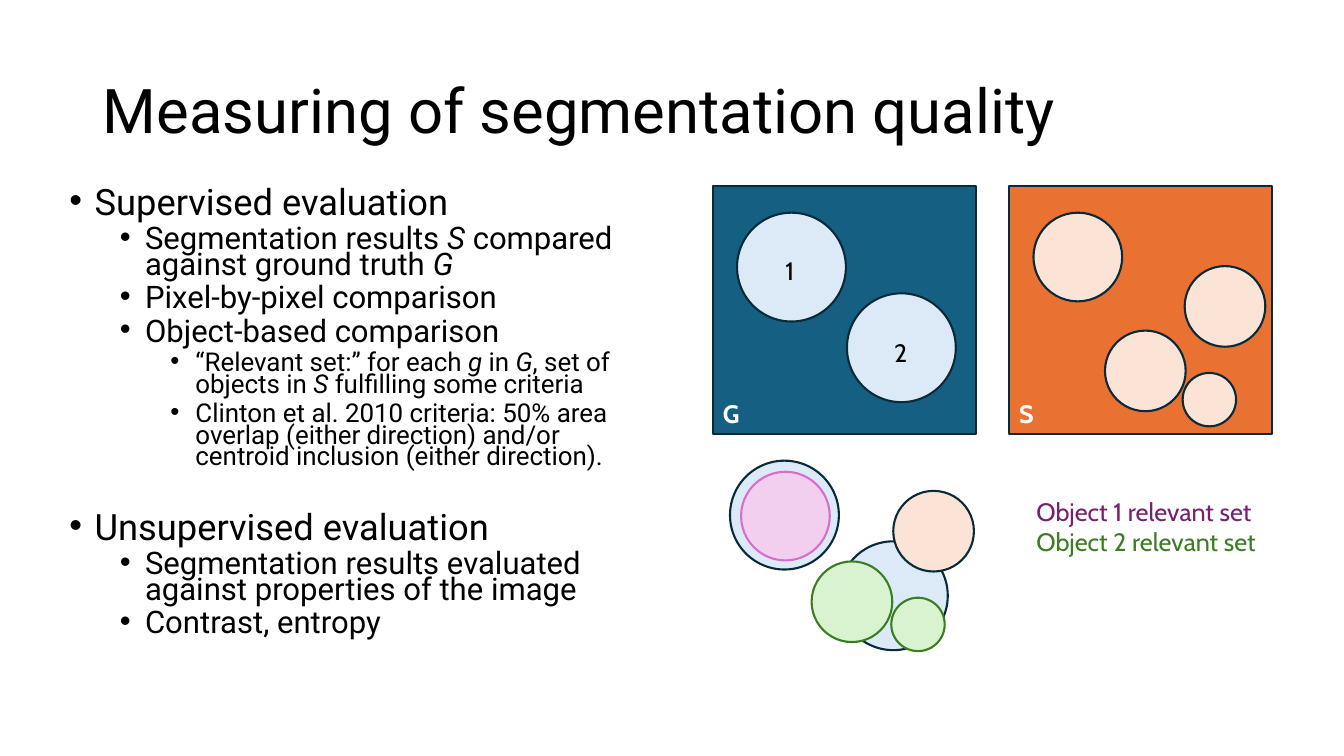
from lxml import etree
from pptx import Presentation
from pptx.dml.color import RGBColor
from pptx.enum import shapes, text
from pptx.oxml import ns
from pptx.util import Inches, Pt

COLOURS = {
    "black": "000000", "white": "FFFFFF", "outline": "092A39",
    "truth": "156082", "truth_object": "DCEAF7",
    "result": "E97132", "result_object": "FBE3D6",
    "pink": "F2CFEE", "pink_line": "D86ECC", "purple": "78206E",
    "green": "D9F2D0", "green_line": "3B7D23",
}
LEVELS = [
    {"size": 25.9, "before": 33, "indent": 0.25},
    {"size": 22.2, "before": 5, "indent": 0.75},
    {"size": 18.5, "before": 5, "indent": 1.25},
]
OUTLINE = [
    (0, "Supervised evaluation"),
    (1, "Segmentation results *S* compared against ground truth *G*"),
    (1, "Pixel-by-pixel comparison"),
    (1, "Object-based comparison"),
    (2, "“Relevant set:” for each *g *in *G*, set of objects in *S *fulfilling some criteria"),
    (2, "Clinton et al. 2010 criteria: 50% area overlap (either direction) "
        "and/or centroid inclusion (either direction)."),
    (0, "Unsupervised evaluation"),
    (1, "Segmentation results evaluated against properties of the image"),
    (1, "Contrast, entropy"),
]
LARGE, MEDIUM, SMALL, TINY = 1.08, 0.88, 0.8, 0.53
CIRCLES = [
    (7.31, 2.11, LARGE, "truth_object", "outline"),
    (8.4, 2.91, LARGE, "truth_object", "outline"),
    (10.25, 2.11, MEDIUM, "result_object", "outline"),
    (11.75, 2.64, SMALL, "result_object", "outline"),
    (10.96, 3.28, SMALL, "result_object", "outline"),
    (11.73, 3.7, TINY, "result_object", "outline"),
    (7.24, 4.57, LARGE, "truth_object", "outline"),
    (8.32, 5.37, LARGE, "truth_object", "outline"),
    (7.35, 4.68, MEDIUM, "pink", "pink_line"),
    (8.86, 4.87, SMALL, "result_object", "outline"),
    (8.05, 5.57, SMALL, "green", "green_line"),
    (8.84, 5.93, TINY, "green", "green_line"),
]


def colour(name):
    return RGBColor.from_string(COLOURS[name])


def apply(target, values):
    for name, value in values.items():
        setattr(target, name, value)


class SlideBuilder:
    heading_font = "Roboto"
    label_font = "Cabin"
    label_size = 18
    line_width = Pt(1.5)

    def __init__(self, presentation):
        self.slide = presentation.slides.add_slide(presentation.slide_layouts[5])

    def run(self, paragraph, wording, font, size, fill, **style):
        run = paragraph.add_run()
        run.text = wording
        apply(run.font, {"name": font, "size": Pt(size), **style})
        run.font.color.rgb = colour(fill)

    def title(self, wording, left, top, width, height):
        title = self.slide.shapes.title
        apply(title, {"left": Inches(left), "top": Inches(top),
                      "width": Inches(width), "height": Inches(height)})
        apply(title.text_frame, {"vertical_anchor": text.MSO_ANCHOR.MIDDLE,
                                 "auto_size": text.MSO_AUTO_SIZE.NONE, "word_wrap": True})
        paragraph = title.text_frame.paragraphs[0]
        apply(paragraph, {"alignment": text.PP_ALIGN.LEFT, "line_spacing": 0.9})
        self.run(paragraph, wording, self.heading_font, 44, "black")

    def text_box(self, left, top, width, height, wrap=True):
        box = self.slide.shapes.add_textbox(
            Inches(left), Inches(top), Inches(width), Inches(height))
        box.text_frame.word_wrap = wrap
        return box.text_frame

    def paragraph(self, frame, index):
        return frame.add_paragraph() if index else frame.paragraphs[0]

    def bullets(self, entries, left, top, width, height):
        frame = self.text_box(left, top, width, height)
        for index, (level, wording) in enumerate(entries):
            style = LEVELS[level]
            paragraph = self.paragraph(frame, index)
            properties = paragraph._p.get_or_add_pPr()
            properties.set("marL", str(Inches(style["indent"])))
            properties.set("indent", str(Inches(-0.25)))
            etree.SubElement(properties, ns.qn("a:buFont")).set("typeface", "Arial")
            etree.SubElement(properties, ns.qn("a:buChar")).set("char", "•")
            apply(paragraph, {"level": level, "line_spacing": 0.7,
                              "space_before": Pt(style["before"] if index else 0)})
            for position, part in enumerate(wording.split("*")):
                if part:
                    self.run(paragraph, part, self.heading_font, style["size"],
                             "black", italic=position % 2 == 1)

    def labels(self, entries, left, top, width, height, wrap=False, **style):
        frame = self.text_box(left, top, width, height, wrap)
        for index, (wording, fill) in enumerate(entries):
            self.run(self.paragraph(frame, index), wording, self.label_font,
                     self.label_size, fill, **style)

    def shape(self, kind, left, top, width, height, fill, line):
        shape = self.slide.shapes.add_shape(
            kind, Inches(left), Inches(top), Inches(width), Inches(height))
        shape.shadow.inherit = False
        shape.fill.solid()
        shape.fill.fore_color.rgb = colour(fill)
        shape.line.color.rgb = colour(line)
        shape.line.width = self.line_width


def main():
    presentation = Presentation()
    apply(presentation, {"slide_width": Inches(13.33), "slide_height": Inches(7.5)})
    builder = SlideBuilder(presentation)
    builder.title("Measuring of segmentation quality", 0.92, 0.4, 11.5, 1.45)
    builder.bullets(OUTLINE, 0.59, 1.85, 5.95, 4.98)
    for name, left, fill in [("G", 7.07, "truth"), ("S", 10.01, "result")]:
        builder.shape(shapes.MSO_SHAPE.RECTANGLE, left, 1.85, 2.61, 2.46, fill, "outline")
        builder.labels([(name, "white")], left, 3.9, 0.38, 0.4, bold=True)
    for left, top, diameter, fill, line in CIRCLES:
        builder.shape(shapes.MSO_SHAPE.OVAL, left, top, diameter, diameter, fill, line)
    for number, left, top in [("1", 7.69, 2.48), ("2", 8.77, 3.3)]:
        builder.labels([(number, "black")], left, top, 0.34, 0.4)
    builder.labels([("Object 1 relevant set", "purple"),
                    ("Object 2 relevant set", "green_line")],
                   10.18, 4.87, 2.79, 0.71, wrap=True)
    presentation.save("out.pptx")


if __name__ == "__main__":
    main()
